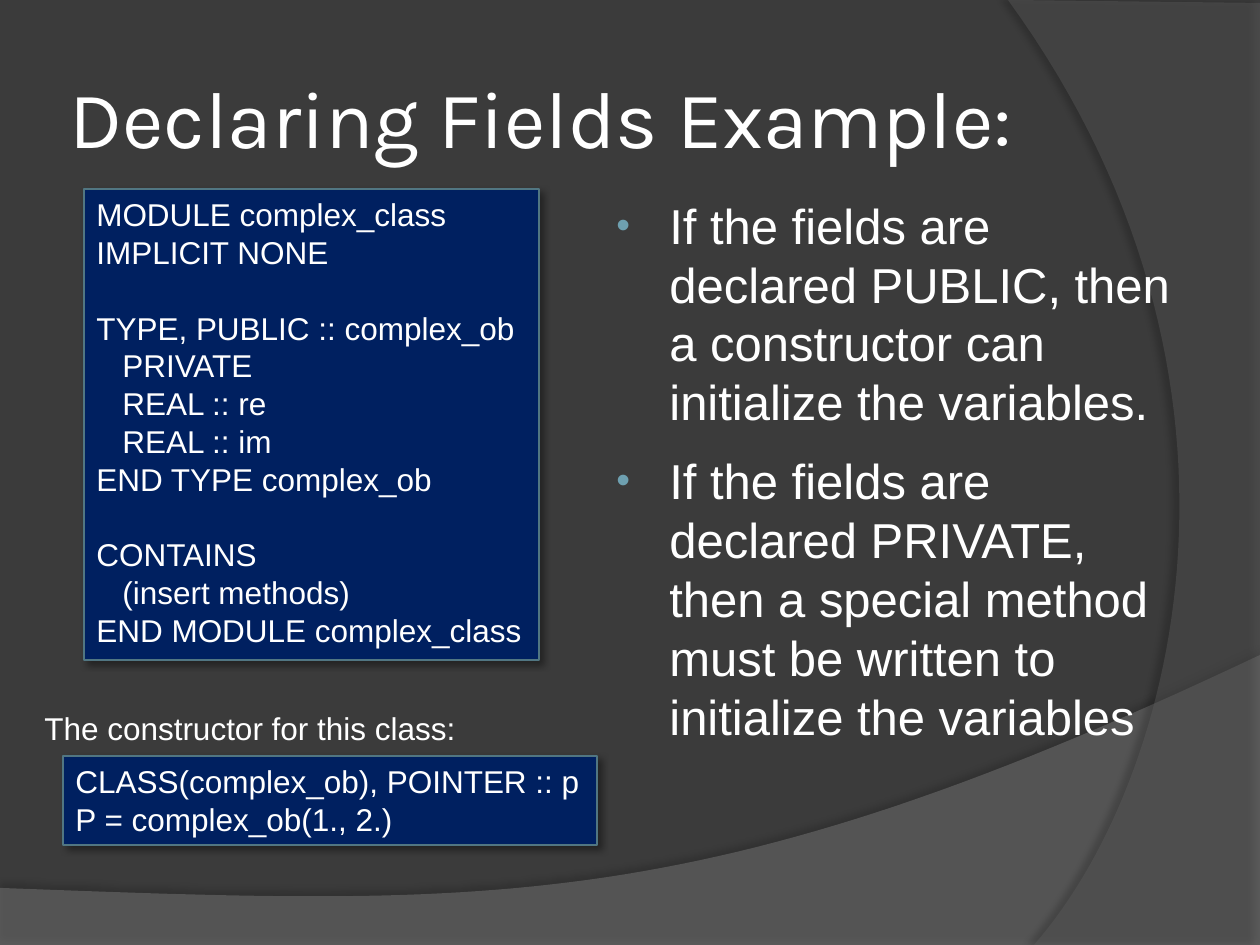
from lxml import etree
from pptx import Presentation
from pptx import util as u
from pptx.dml.color import RGBColor
from pptx.enum import text
from pptx.enum.shapes import MSO_SHAPE
from pptx.oxml.ns import qn

SCALE = u.Inches(1) / 126
COLORS = {"background": "3B3B3B", "wave": "7F7F7F", "arc": "5E5E5E", "code": "002060",
          "border": "517682", "text": "FFFFFF", "bullet": "6EA0B0", "shadow": "000000"}
CODE_SHADOW = {"alpha": 40, "blur": 4, "distance": 3, "angle": 45}
MODULE_CODE = """MODULE complex_class
IMPLICIT NONE

TYPE, PUBLIC :: complex_ob
   PRIVATE
   REAL :: re
   REAL :: im
END TYPE complex_ob

CONTAINS
   (insert methods)
END MODULE complex_class"""
CONSTRUCTOR_CODE = """CLASS(complex_ob), POINTER :: p
P = complex_ob(1., 2.)"""
POINTS = ["If the fields are declared PUBLIC, then a constructor can initialize the variables.",
          "If the fields are declared PRIVATE, then a special method must be written to "
          "initialize the variables"]


def px(length):
    """Turn px into EMU."""
    return u.Emu(round(length * SCALE))


def color(name):
    """Look up a named colour."""
    return RGBColor.from_string(COLORS[name])


def apply(target, values):
    """Set each attribute of the target from a dict."""
    for name, value in values.items():
        setattr(target, name, value)


def child(parent, tag, **attributes):
    """Append a DrawingML element with the given attributes."""
    return etree.SubElement(parent, qn(tag), {key: str(value) for key, value in attributes.items()})


def add_shadow(shape, alpha, blur, distance, angle):
    """Give the shape an outer shadow in points, percent and degrees."""
    shape.shadow.inherit = False
    effects = shape._element.spPr.find(qn("a:effectLst"))
    shadow = child(effects, "a:outerShdw", blurRad=u.Pt(blur), dist=u.Pt(distance),
                   dir=angle * 60000, algn="ctr", rotWithShape=0)
    tint = child(shadow, "a:srgbClr", val=COLORS["shadow"])
    child(tint, "a:alpha", val=alpha * 1000)


def bezier(start, first, second, end, steps=60):
    """List the points of a cubic curve."""
    curve = []
    for step in range(steps + 1):
        t = step / steps
        weights = ((1 - t) ** 3, 3 * t * (1 - t) ** 2, 3 * t * t * (1 - t), t ** 3)
        curve.append(tuple(sum(w * point[axis] for w, point in zip(weights, (start, first, second, end)))
                           for axis in (0, 1)))
    return curve


def add_swoosh(slide, outline, fill, opacity, shadow):
    """Draw a translucent background outline given in px."""
    corners = [(px(x), px(y)) for x, y in outline]
    builder = slide.shapes.build_freeform(*corners[0])
    builder.add_line_segments(corners[1:], close=True)
    shape = builder.convert_to_shape()
    shape.fill.solid()
    shape.fill.fore_color.rgb = color(fill)
    tint = shape._element.spPr.find(qn("a:solidFill")).find(qn("a:srgbClr"))
    child(tint, "a:alpha", val=opacity * 1000)
    shape.line.fill.background()
    add_shadow(shape, **shadow)


def add_backdrop(slide):
    """Paint the background and its two swooshes."""
    slide.background.fill.solid()
    slide.background.fill.fore_color.rgb = color("background")
    wave = [(0, 946), (1260, 946)] + bezier((1260, 655), (704, 919), (493, 906), (0, 888))
    arc = [(1260, 3), (1260, 945)] + bezier((1034, 945), (1178, 780), (1283, 378), (1008, 0))
    add_swoosh(slide, wave, "wave", 45, {"alpha": 35, "blur": 4, "distance": 3.5, "angle": 270})
    add_swoosh(slide, arc, "arc", 40, {"alpha": 45, "blur": 4, "distance": 4, "angle": 180})


def write(paragraph, words, size, name="Arial", **layout):
    """Fill a left-aligned paragraph with white text."""
    paragraph.text = words
    apply(paragraph, {"alignment": text.PP_ALIGN.LEFT, **layout})
    apply(paragraph.font, {"size": u.Pt(size), "name": name})
    paragraph.font.color.rgb = color("text")


def paragraphs(frame, count):
    """Return the given number of paragraphs of an empty frame."""
    return [frame.paragraphs[0]] + [frame.add_paragraph() for _ in range(count - 1)]


def add_title(slide, left, top, width, height):
    """Place and format the title placeholder."""
    title = slide.shapes.title
    apply(title, {"left": px(left), "top": px(top), "width": px(width), "height": px(height)})
    sides = ("left", "top", "right", "bottom")
    apply(title.text_frame, {f"margin_{side}": u.Inches(0.05) for side in sides})
    apply(title.text_frame, {"vertical_anchor": text.MSO_ANCHOR.MIDDLE, "word_wrap": True,
                             "auto_size": text.MSO_AUTO_SIZE.NONE})
    write(title.text_frame.paragraphs[0], "Declaring Fields Example:", 46, "Karla")


def add_bullets(slide, left, top, width, height):
    """Add the bulleted explanation."""
    frame = slide.shapes.add_textbox(px(left), px(top), px(width), px(height)).text_frame
    frame.word_wrap = True
    for paragraph, words in zip(paragraphs(frame, len(POINTS)), POINTS):
        write(paragraph, words, 28, space_before=u.Pt(5.6), space_after=u.Pt(6))
        properties = paragraph._p.get_or_add_pPr()
        properties.set("marL", str(px(58)))
        properties.set("indent", str(px(-53)))
        bullet_color = child(properties, "a:buClr")
        child(bullet_color, "a:srgbClr", val=COLORS["bullet"])
        child(properties, "a:buSzPct", val=80000)
        child(properties, "a:buFont", typeface="Arial")
        child(properties, "a:buChar", char="•")
        properties.append(properties.find(qn("a:defRPr")))


def add_code(slide, code, left, top, width, height):
    """Add a code panel whose blank lines become spacing and spaces become indents."""
    panel = slide.shapes.add_shape(MSO_SHAPE.RECTANGLE, px(left), px(top), px(width), px(height))
    panel.fill.solid()
    panel.fill.fore_color.rgb = color("code")
    panel.line.color.rgb = color("border")
    panel.line.width = u.Pt(0.75)
    add_shadow(panel, **CODE_SHADOW)
    frame = panel.text_frame
    apply(frame, {"word_wrap": False, "vertical_anchor": text.MSO_ANCHOR.TOP})
    lines = [(line, bool(index)) for index, block in enumerate(code.split("\n\n"))
             for line in [block]]
    rows = [(line, gap and number == 0) for block, gap in lines
            for number, line in enumerate(block.split("\n"))]
    for paragraph, (line, gap) in zip(paragraphs(frame, len(rows)), rows):
        write(paragraph, line.strip(), 18, space_before=u.Pt(21.6 if gap else 0))
        if line.startswith(" "):
            paragraph._p.get_or_add_pPr().set("marL", str(px(26)))


def add_caption(slide, words, left, top, width, height):
    """Add a one-line caption."""
    frame = slide.shapes.add_textbox(px(left), px(top), px(width), px(height)).text_frame
    frame.word_wrap = False
    write(frame.paragraphs[0], words, 18)


def main():
    """Build and save the slide."""
    presentation = Presentation()
    apply(presentation, {"slide_width": px(1260), "slide_height": px(945)})
    slide = presentation.slides.add_slide(presentation.slide_layouts[5])
    add_backdrop(slide)
    add_title(slide, 63, 38, 1029, 157)
    add_bullets(slide, 599, 189, 588, 697)
    add_code(slide, MODULE_CODE, 84, 189, 455, 471)
    add_caption(slide, "The constructor for this class:", 32, 703, 441, 50)
    add_code(slide, CONSTRUCTOR_CODE, 63, 756, 534, 89)
    presentation.save("out.pptx")


if __name__ == "__main__":
    main()
